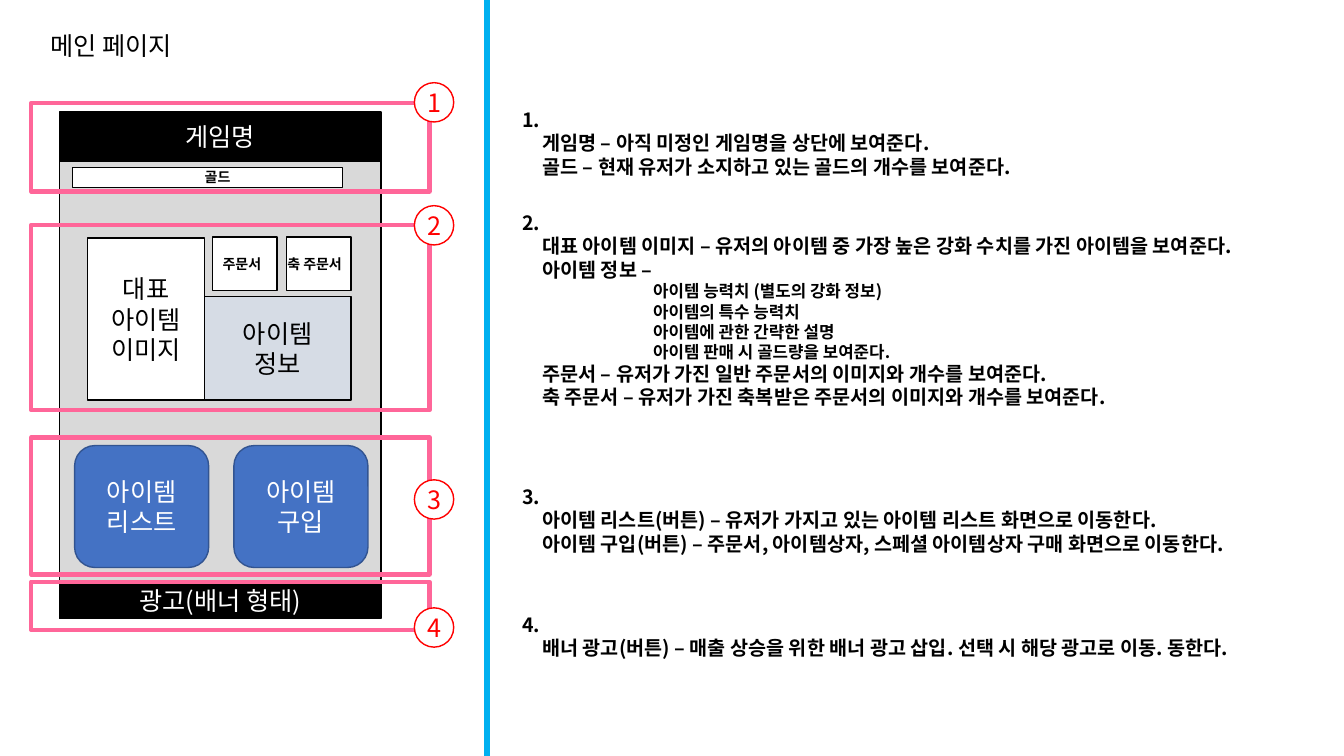
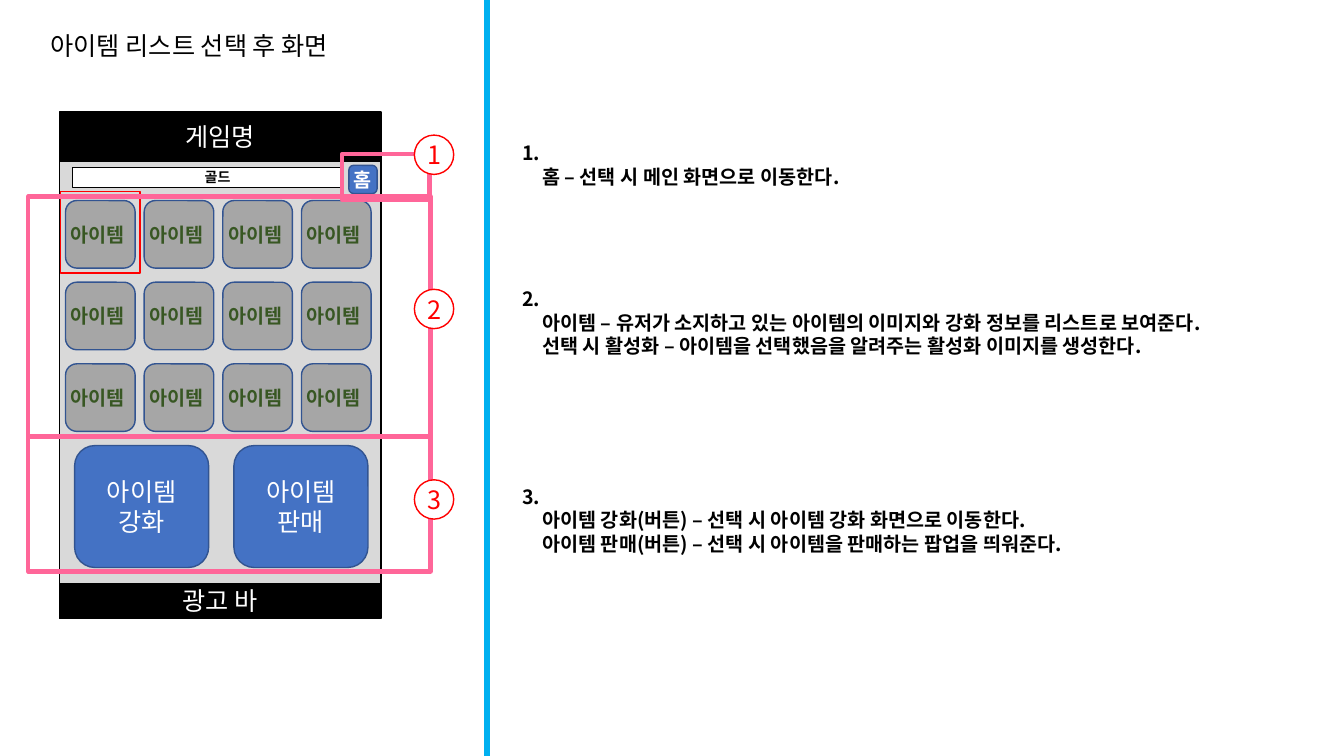
"""Build two annotated wireframe slides for a mobile game."""
import lxml.etree
import pptx
import pptx.dml.color
import pptx.enum.shapes
import pptx.enum.text
import pptx.oxml.ns
import pptx.util

Inches = pptx.util.Inches
ALIGN = pptx.enum.text.PP_ALIGN
ANCHOR = pptx.enum.text.MSO_ANCHOR
SHAPE = pptx.enum.shapes.MSO_SHAPE
FONT = "Noto Sans CJK KR"
COLORS = {
    "black": "000000",
    "white": "FFFFFF",
    "screen": "D9D9D9",
    "info": "D6DCE5",
    "button": "4472C4",
    "button_line": "325491",
    "item": "A6A6A6",
    "item_text": "385723",
    "frame": "FF6699",
    "badge": "FF0000",
    "divider": "00B0F0",
}
LINE_HEIGHT = 1.2
NOTE_INDENT = 0.2
DETAIL_INDENT = 1.3


def rgb(name):
    """Return the named colour."""
    return pptx.dml.color.RGBColor.from_string(COLORS[name])


def write_line(paragraph, text, size=18, color="black", bold=False,
               align=ALIGN.LEFT, indent=0):
    """Write one formatted run into a paragraph."""
    paragraph.alignment = align
    paragraph.line_spacing = pptx.util.Pt(size * LINE_HEIGHT)
    if indent:
        properties = paragraph._p.get_or_add_pPr()
        properties.set("marL", str(Inches(indent)))
        properties.set("indent", "0")
    run = paragraph.add_run()
    run.text = text
    run.font.size = pptx.util.Pt(size)
    run.font.bold = bold
    run.font.color.rgb = rgb(color)
    run.font.name = FONT
    east_asian = lxml.etree.SubElement(
        run._r.get_or_add_rPr(), pptx.oxml.ns.qn("a:ea"))
    east_asian.set("typeface", FONT)


def write_lines(frame, lines, **style):
    """Write each line as a paragraph of a text frame."""
    for index, text in enumerate(lines):
        paragraph = frame.add_paragraph() if index else frame.paragraphs[0]
        write_line(paragraph, text, **style)


def add_box(slide, box, fill=None, line="black", width=1, kind=SHAPE.RECTANGLE,
            lines=(), inset=0, align=ALIGN.CENTER, **style):
    """Add a preset shape with optional text."""
    shape = slide.shapes.add_shape(kind, *map(Inches, box))
    shape.shadow.inherit = False
    if fill:
        shape.fill.solid()
        shape.fill.fore_color.rgb = rgb(fill)
    else:
        shape.fill.background()
    shape.line.color.rgb = rgb(line)
    shape.line.width = pptx.util.Pt(width)
    if lines:
        frame = shape.text_frame
        frame.word_wrap = True
        frame.vertical_anchor = ANCHOR.MIDDLE
        frame.margin_left = Inches(inset)
        frame.margin_right = frame.margin_top = frame.margin_bottom = 0
        write_lines(frame, lines, align=align, **style)
    return shape


def add_button(slide, box, lines, **style):
    """Add a blue rounded button."""
    add_box(slide, box, "button", "button_line", kind=SHAPE.ROUNDED_RECTANGLE,
            lines=lines, color="white", **style)


def add_label_box(slide, box, text, inset):
    """Add a white box with a small bold label."""
    add_box(slide, box, "white", lines=[text], inset=inset, align=ALIGN.LEFT,
            size=10, bold=True)


def add_title(slide, text, width):
    """Place and format the slide title."""
    title = slide.shapes.title
    title.left, title.top = Inches(0.4), Inches(0.25)
    title.width, title.height = Inches(width), Inches(0.4)
    frame = title.text_frame
    frame.word_wrap = True
    frame.auto_size = pptx.enum.text.MSO_AUTO_SIZE.NONE
    frame.vertical_anchor = ANCHOR.TOP
    write_lines(frame, [text])


def add_divider(slide):
    """Add the line between wireframe and notes."""
    line = slide.shapes.add_connector(
        pptx.enum.shapes.MSO_CONNECTOR.STRAIGHT,
        Inches(4.83), 0, Inches(4.83), Inches(7.5))
    line.line.color.rgb = rgb("divider")
    line.line.width = pptx.util.Pt(4.5)
    lxml.etree.SubElement(line._element.spPr, pptx.oxml.ns.qn("a:effectLst"))


def add_page(presentation, title, title_width, footer, buttons):
    """Add a slide with the shared title, phone screen and divider."""
    slide = presentation.slides.add_slide(presentation.slide_layouts[5])
    add_title(slide, title, title_width)
    add_box(slide, (0.59, 1.13, 3.19, 5), "screen")
    for top, height, text in ((1.11, 0.49, "게임명"), (5.79, 0.34, footer)):
        add_box(slide, (0.59, top, 3.19, height), "black", lines=[text],
                color="white")
    add_label_box(slide, (0.72, 1.66, 2.68, 0.2), "골드", 1.31)
    for index, action in enumerate(buttons):
        add_button(slide, (0.74 + 1.58 * index, 4.42, 1.33, 1.21),
                   ["아이템", action])
    add_divider(slide)
    return slide


def add_section(slide, number, frame, badge_top, note_top, note_size, notes):
    """Add a numbered frame with its note; nested tuples hold details."""
    add_box(slide, frame, line="frame", width=3)
    add_box(slide, (4.11, badge_top, 0.39, 0.39), "white", "badge",
            kind=SHAPE.OVAL, lines=[str(number)], color="badge")
    note = slide.shapes.add_textbox(
        Inches(5.08), Inches(note_top), *map(Inches, note_size))
    text_frame = note.text_frame
    text_frame.word_wrap = True
    write_lines(text_frame, [f"{number}."], size=14, bold=True)
    for entry in notes:
        is_detail = isinstance(entry, tuple)
        for text in entry if is_detail else (entry,):
            write_line(text_frame.add_paragraph(), text, bold=True,
                       size=12 if is_detail else 14,
                       indent=DETAIL_INDENT if is_detail else NOTE_INDENT)


def add_main_page(presentation):
    """Build the main page slide."""
    slide = add_page(presentation, "메인 페이지", 1.55, "광고(배너 형태)",
                     ("리스트", "구입"))
    add_box(slide, (1.3, 2.94, 2.18, 1.03), "info", lines=["아이템", "정보"],
            inset=0.73)
    add_box(slide, (0.87, 2.36, 1.16, 1.61), "white",
            lines=["대표", "아이템", "이미지"])
    add_label_box(slide, (2.84, 2.35, 0.64, 0.53), "축 주문서", 0.01)
    add_label_box(slide, (2.11, 2.35, 0.64, 0.53), "주문서", 0.1)
    add_section(slide, 1, (0.31, 1.02, 3.95, 0.88), 0.82, 1.02, (5.68, 0.81), [
        "게임명 – 아직 미정인 게임명을 상단에 보여준다.",
        "골드 – 현재 유저가 소지하고 있는 골드의 개수를 보여준다.",
    ])
    add_section(slide, 2, (0.31, 2.23, 3.95, 1.84), 2.04, 2.04, (8.19, 2.12), [
        "대표 아이템 이미지 – 유저의 아이템 중 가장 높은 강화 수치를 가진 아이템을 보여준다.",
        "아이템 정보 –",
        ("아이템 능력치 (별도의 강화 정보)",
         "아이템의 특수 능력치",
         "아이템에 관한 간략한 설명",
         "아이템 판매 시 골드량을 보여준다."),
        "주문서 – 유저가 가진 일반 주문서의 이미지와 개수를 보여준다.",
        "축 주문서 – 유저가 가진 축복받은 주문서의 이미지와 개수를 보여준다.",
    ])
    add_section(slide, 3, (0.31, 4.34, 3.95, 1.36), 4.76, 4.76, (7.96, 0.81), [
        "아이템 리스트(버튼) – 유저가 가지고 있는 아이템 리스트 화면으로 이동한다.",
        "아이템 구입(버튼) – 주문서, 아이템상자, 스페셜 아이템상자 구매 화면으로 이동한다.",
    ])
    add_section(slide, 4, (0.31, 5.77, 3.95, 0.48), 6.03, 6.03, (8.11, 0.57), [
        "배너 광고(버튼) – 매출 상승을 위한 배너 광고 삽입. 선택 시 해당 광고로 이동. 동한다.",
    ])


def add_item_list_page(presentation):
    """Build the item list slide."""
    slide = add_page(presentation, "아이템 리스트 선택 후 화면", 3.43, "광고 바",
                     ("강화", "판매"))
    for row in range(3):
        for column in range(4):
            add_box(slide, (0.65 + 0.78 * column, 1.99 + 0.81 * row, 0.69, 0.67),
                    "item", "button_line", kind=SHAPE.ROUNDED_RECTANGLE,
                    lines=["아이템"], inset=0.02, align=ALIGN.LEFT,
                    size=14, color="item_text", bold=True)
    add_box(slide, (0.6, 1.9, 0.79, 0.81), line="badge")
    add_button(slide, (3.46, 1.64, 0.28, 0.28), ["홈"], size=14, bold=True)
    add_section(slide, 1, (3.39, 1.53, 0.87, 0.45), 1.34, 1.35, (3.79, 0.57), [
        "홈 – 선택 시 메인 화면으로 이동한다.",
    ])
    add_section(slide, 2, (0.28, 1.95, 3.99, 2.38), 2.87, 2.8, (7.79, 0.81), [
        "아이템 – 유저가 소지하고 있는 아이템의 이미지와 강화 정보를 리스트로 보여준다.",
        "선택 시 활성화 – 아이템을 선택했음을 알려주는 활성화 이미지를 생성한다.",
    ])
    add_section(slide, 3, (0.28, 4.33, 3.99, 1.34), 4.76, 4.76, (6.22, 0.81), [
        "아이템 강화(버튼) – 선택 시 아이템 강화 화면으로 이동한다.",
        "아이템 판매(버튼) – 선택 시 아이템을 판매하는 팝업을 띄워준다.",
    ])


def main():
    """Create and save the presentation."""
    presentation = pptx.Presentation()
    presentation.slide_width = Inches(13.33)
    presentation.slide_height = Inches(7.5)
    add_main_page(presentation)
    add_item_list_page(presentation)
    presentation.save("out.pptx")


if __name__ == "__main__":
    main()
